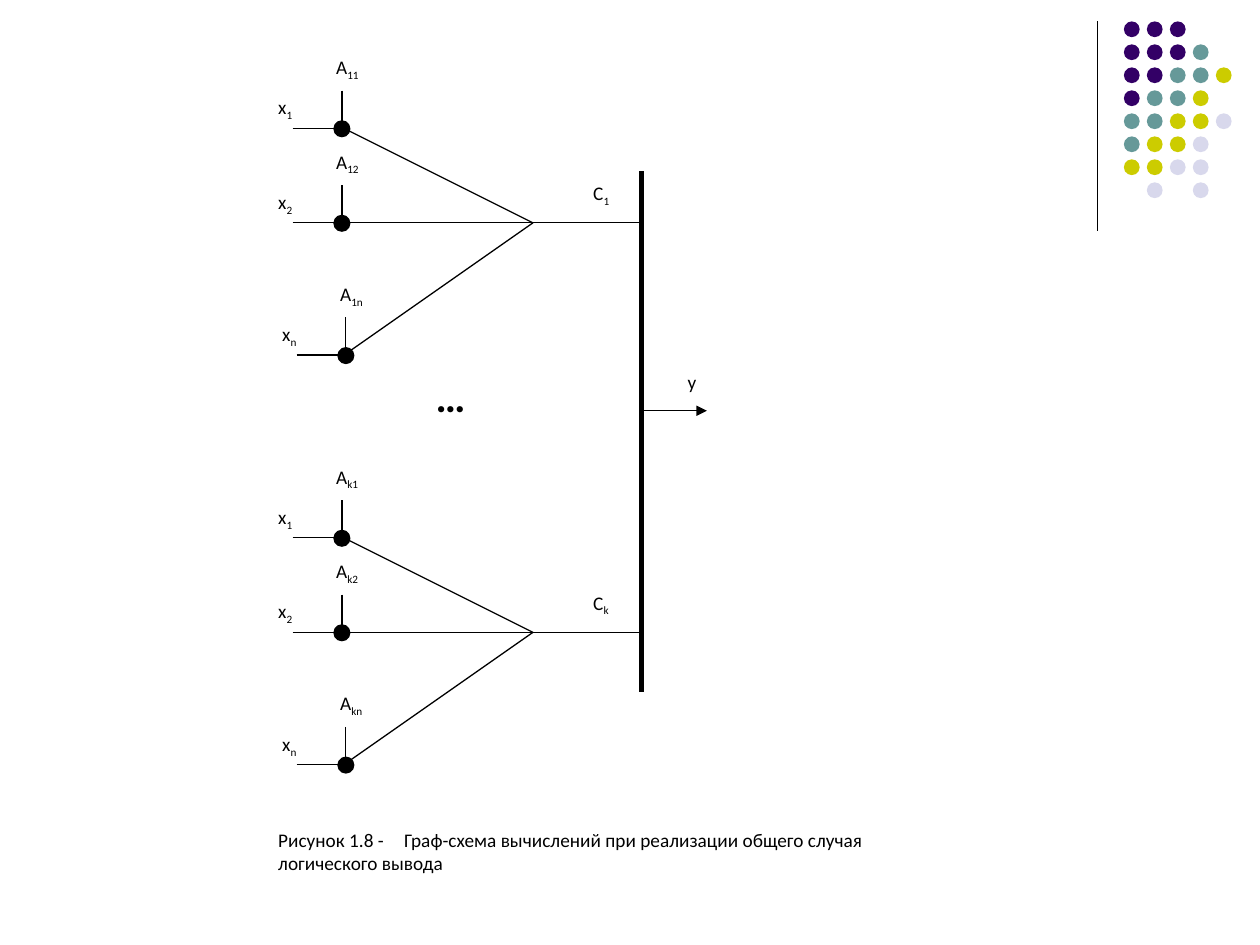
from lxml.etree import SubElement
from pptx import Presentation
from pptx.dml.color import RGBColor
from pptx.enum.shapes import MSO_CONNECTOR, MSO_SHAPE
from pptx.enum.text import MSO_ANCHOR, PP_ALIGN
from pptx.oxml.ns import qn
from pptx.util import Inches, Pt

COLORS = {"ink": "000000", "paper": "FFFFFF", "P": "330066", "T": "669999",
          "Y": "CCCC00", "L": "D8D8EC"}

prs = Presentation()
prs.slide_width, prs.slide_height = Inches(10), Inches(7.5)
s = prs.slides.add_slide(prs.slide_layouts[6])

# Grid of 80 columns by 60 rows; the diagram starts at column X0, row Y0
CELL = prs.slide_width / 80
X0, Y0 = 16.88, 3.12


def line(x1, y1, x2, y2, width=0.75):
    c = s.shapes.add_connector(MSO_CONNECTOR.STRAIGHT,
                               *(int(v * CELL) for v in (x1, y1, x2, y2)))
    c.line.width = Pt(width)
    c.line.color.rgb = RGBColor.from_string(COLORS["ink"])
    SubElement(c._element.spPr, qn("a:effectLst"))
    return c


def shape(x, y, w, h, kind=MSO_SHAPE.RECTANGLE, fill=None, text="", sub="", size=11):
    sp = s.shapes.add_shape(kind, *(int(v * CELL) for v in (x, y, w, h)))
    sp.shadow.inherit = False
    sp.line.fill.background()
    if fill:
        sp.fill.solid()
        sp.fill.fore_color.rgb = RGBColor.from_string(COLORS[fill])
    else:
        sp.fill.background()
    if text:
        tf = sp.text_frame
        tf.word_wrap = True
        tf.vertical_anchor = MSO_ANCHOR.TOP
        p = tf.paragraphs[0]
        p.text = text
        p.alignment = PP_ALIGN.LEFT
        if sub:
            r = p.add_run()
            r.text = sub
            r.font._element.set("baseline", "-25000")
        for r in p.runs:
            r.font.name = "Calibri"
            r.font.size = Pt(size)
            r.font.color.rgb = RGBColor.from_string(COLORS["ink"])
    return sp


# Corner decoration: a rule and a pattern of dots
line(69.68, 1.36, 69.68, 14.64)
PATTERN = ["PPP", "PPPT", "PPTTY", "PTTY", "TTYYL", "TYYL", "YYLL", " L L"]
for row, colors in enumerate(PATTERN):
    for col, color in enumerate(colors):
        if color != " ":
            shape(71.36 + 1.46 * col, 1.36 + 1.46 * row, 1, 1, MSO_SHAPE.OVAL, color)

# Two groups of inputs, each joined into one output C
NODES = [("1", 0, 0), ("2", 0, 6), ("n", 0.25, 14.4)]
for group, top in (("1", Y0), ("k", Y0 + 26)):
    for index, dx, dy in NODES:
        x, y = X0 + dx, top + dy
        dot = shape(x + 4.33, y + 4.56, 1, 1, MSO_SHAPE.OVAL, "ink")
        dot.line.width = Pt(0.75)
        dot.line.color.rgb = RGBColor.from_string(COLORS["ink"])
        line(x + 4.83, y + 2.64, x + 4.83, y + 4.64)
        line(x + 1.7, y + 5.03, x + 4.7, y + 5.03)
        shape(x + 3.68, y, 4, 3, text="А", sub=group + index)
        shape(x, y + 2.56, 4, 3, text="x", sub=index)
        end = 24 if index == "2" else 16.96
        line(X0 + 4.96, y + 5.03, X0 + end, top + 11.03)
    shape(X0 + 20, top + 8, 4, 4, text="C", sub=group)

# Ellipsis between the groups
dots = shape(X0 + 10, Y0 + 20, 4, 6, text="…", size=24)
dots.text_frame.paragraphs[0].runs[0].font.bold = True

# Caption, with a tab stop after the figure number
caption = shape(X0, Y0 + 49.1, 41, 4, fill="paper",
                text="Рисунок 1.8 -\tГраф-схема вычислений при реализации "
                     "общего случая логического вывода")
tabs = SubElement(caption.text_frame.paragraphs[0]._p.get_or_add_pPr(), qn("a:tabLst"))
SubElement(tabs, qn("a:tab"), pos=str(int(8 * CELL)), algn="l")

# Collecting bar and result y
line(X0 + 23.84, 10.88, X0 + 23.84, 43.92, 3)
arrow = line(X0 + 24, Y0 + 22.96, X0 + 28, Y0 + 22.96)
SubElement(arrow.line._get_or_add_ln(), qn("a:tailEnd"), type="triangle")
shape(X0 + 26, Y0 + 20, 3, 3, text="y")

prs.save("out.pptx")
